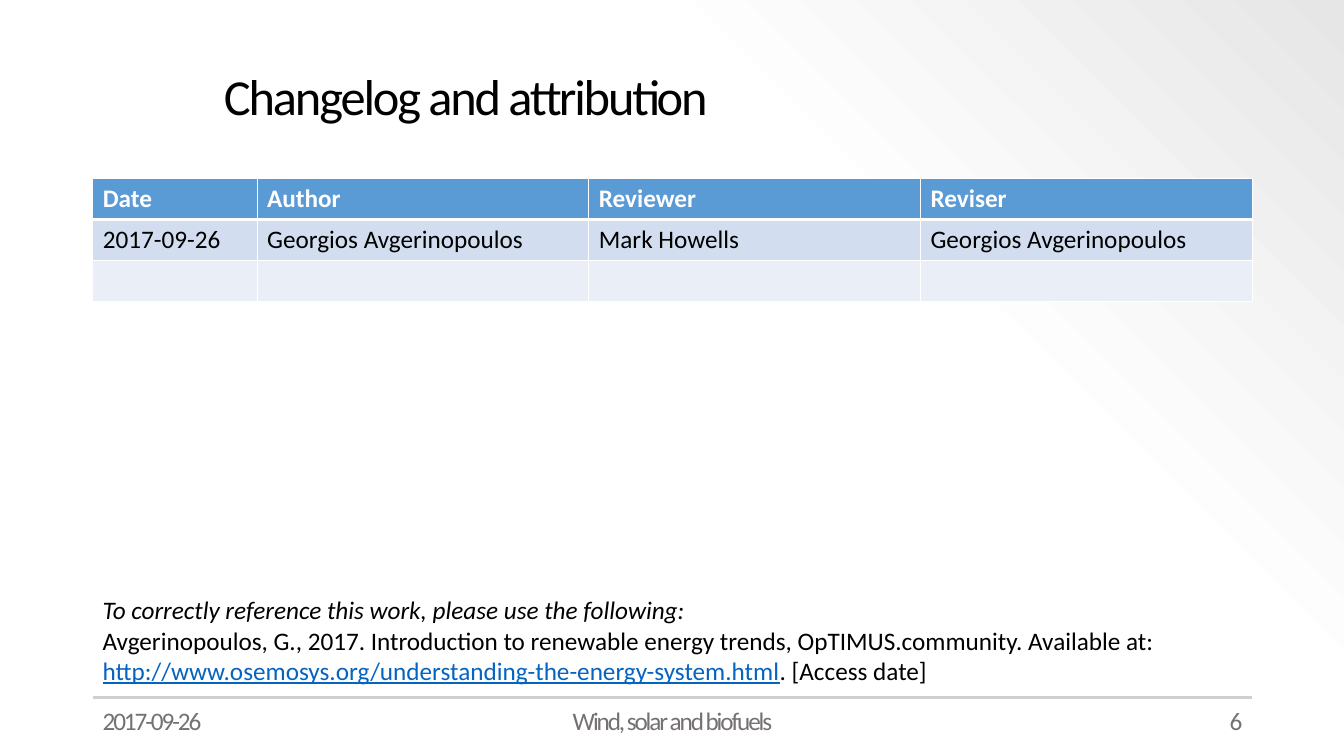
from lxml.etree import SubElement
from pptx import Presentation
from pptx.dml.color import RGBColor
from pptx.enum.shapes import MSO_CONNECTOR
from pptx.enum.text import MSO_ANCHOR, MSO_AUTO_SIZE, PP_ALIGN
from pptx.oxml.ns import qn
from pptx.util import Inches, Pt

LEFT, WIDTH = 0.92, 11.5
BODY = {"name": "Calibri", "size": Pt(18), "bold": False, "color": "000000"}
FOOTER = {**BODY, "color": "767171"}
HEADER = {**BODY, "bold": True, "color": "FFFFFF"}
HEADINGS = ["Date", "Author", "Reviewer", "Reviser"]
CHANGES = [
    ["2017-09-26", "Georgios Avgerinopoulos", "Mark Howells", "Georgios Avgerinopoulos"],
    ["", "", "", ""],
]
CITATION = [
    [("To correctly reference this work, please use the following:", {"italic": True})],
    [
        ("Avgerinopoulos, G., 2017. Introduction to renewable energy trends, "
         "OpTIMUS.community. Available at: ", {}),
        ("http://www.osemosys.org/understanding-the-energy-system.html",
         {"color": "0563C1", "underline": True}),
        (". [Access date]", {}),
    ],
]


def rgb(value):
    return RGBColor.from_string(value)


def add_span(para, text, style, spacing=None):
    span = para.add_run()
    span.text = text
    for name, value in style.items():
        if name == "color":
            span.font.color.rgb = rgb(value)
        else:
            setattr(span.font, name, value)
    if spacing is not None:
        span._r.get_or_add_rPr().set("spc", str(int(spacing * 100)))


def paint_background(page):
    fill = page.background.fill
    fill.gradient()
    fill.gradient_angle = 45
    stops = page.element.find(".//" + qn("a:gsLst"))
    for stop in list(stops):
        stops.remove(stop)
    for position, value, alpha in [(0, "FFFFFF", 100), (69, "FDFDFD", 100), (100, "E7E6E6", 50)]:
        stop = SubElement(stops, qn("a:gs"), pos=str(position * 1000))
        color = SubElement(stop, qn("a:srgbClr"), val=value)
        if alpha < 100:
            SubElement(color, qn("a:alpha"), val=str(alpha * 1000))


def add_title(page, left, top, width, height):
    title = page.shapes.title
    title.left, title.top = Inches(left), Inches(top)
    title.width, title.height = Inches(width), Inches(height)
    frame = title.text_frame
    frame.auto_size = MSO_AUTO_SIZE.NONE
    frame.word_wrap = True
    frame.vertical_anchor = MSO_ANCHOR.MIDDLE
    para = frame.paragraphs[0]
    para.alignment = PP_ALIGN.LEFT
    para.line_spacing = 0.9
    add_span(para, "Changelog and attribution", {**BODY, "size": Pt(36)}, -1.5)


def border_cell(cell, widths):
    properties = cell._tc.get_or_add_tcPr()
    for side, width in widths.items():
        line = SubElement(properties, qn("a:ln" + side), w=str(Pt(width)))
        SubElement(SubElement(line, qn("a:solidFill")), qn("a:srgbClr"), val="FFFFFF")


def add_changelog(page, left, top, width, height):
    rows = [HEADINGS] + CHANGES
    table = page.shapes.add_table(len(rows), len(HEADINGS), Inches(left), Inches(top),
                                  Inches(width), Inches(height)).table
    date_width = 1.63
    for index, column in enumerate(table.columns):
        share = (width - date_width) / (len(HEADINGS) - 1)
        column.width = Inches(share if index else date_width)
    fills = ["5B9BD5", "D2DEEF", "EAEFF7"]
    for r, texts in enumerate(rows):
        table.rows[r].height = Inches(height / len(rows))
        for c, text in enumerate(texts):
            cell = table.cell(r, c)
            # A thick rule separates the header from the entries
            border_cell(cell, {"L": 1, "R": 1, "T": 3 if r == 1 else 1, "B": 3 if r == 0 else 1})
            cell.fill.solid()
            cell.fill.fore_color.rgb = rgb(fills[r])
            if text:
                add_span(cell.text_frame.paragraphs[0], text, BODY if r else HEADER)


def add_box(page, left, top, width, height):
    box = page.shapes.add_textbox(Inches(left), Inches(top), Inches(width), Inches(height))
    box.text_frame.word_wrap = True
    return box.text_frame


def add_citation(page, left, top, width, height):
    frame = add_box(page, left, top, width, height)
    frame.margin_top = frame.margin_bottom = 0
    for index, spans in enumerate(CITATION):
        para = frame.add_paragraph() if index else frame.paragraphs[0]
        for text, style in spans:
            add_span(para, text, {**BODY, **style})


def add_footer(page, left, top, width, height):
    # Rule above the footer
    rule = page.shapes.add_connector(MSO_CONNECTOR.STRAIGHT, Inches(left), Inches(top),
                                     Inches(left + width), Inches(top))
    rule.line.color.rgb = rgb("D0CECE")
    rule.line.width = Pt(1.5)
    SubElement(rule._element.spPr, qn("a:effectLst"))
    # Date, topic and page number
    side, middle = 3, 4.5
    parts = [
        ("2017-09-26", 0, side, PP_ALIGN.LEFT),
        ("Wind, solar and biofuels", (width - middle) / 2, middle, PP_ALIGN.CENTER),
        ("6", width - side, side, PP_ALIGN.RIGHT),
    ]
    for text, offset, part_width, alignment in parts:
        frame = add_box(page, left + offset, top + 0.03, part_width, height - 0.03)
        para = frame.paragraphs[0]
        para.alignment = alignment
        add_span(para, text, FOOTER, -1.5)


def main():
    deck = Presentation()
    deck.slide_width, deck.slide_height = Inches(13.33), Inches(7.5)
    page = deck.slides.add_slide(deck.slide_layouts[5])
    paint_background(page)
    add_title(page, 2.12, 0.37, 10.3, 1.22)
    add_changelog(page, LEFT, 1.77, WIDTH, 1.22)
    add_citation(page, LEFT, 5.9, WIDTH, 0.93)
    add_footer(page, LEFT, 6.92, WIDTH, 0.43)
    deck.save("out.pptx")


if __name__ == "__main__":
    main()
